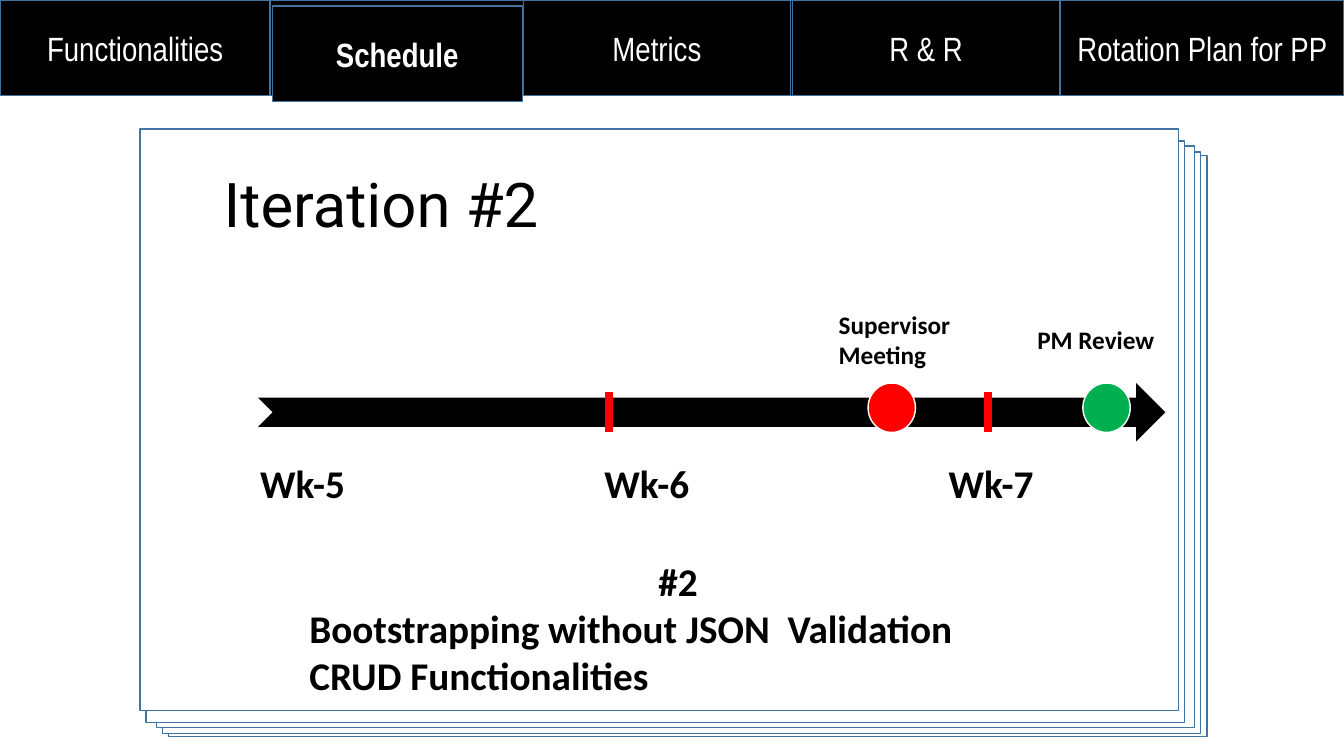
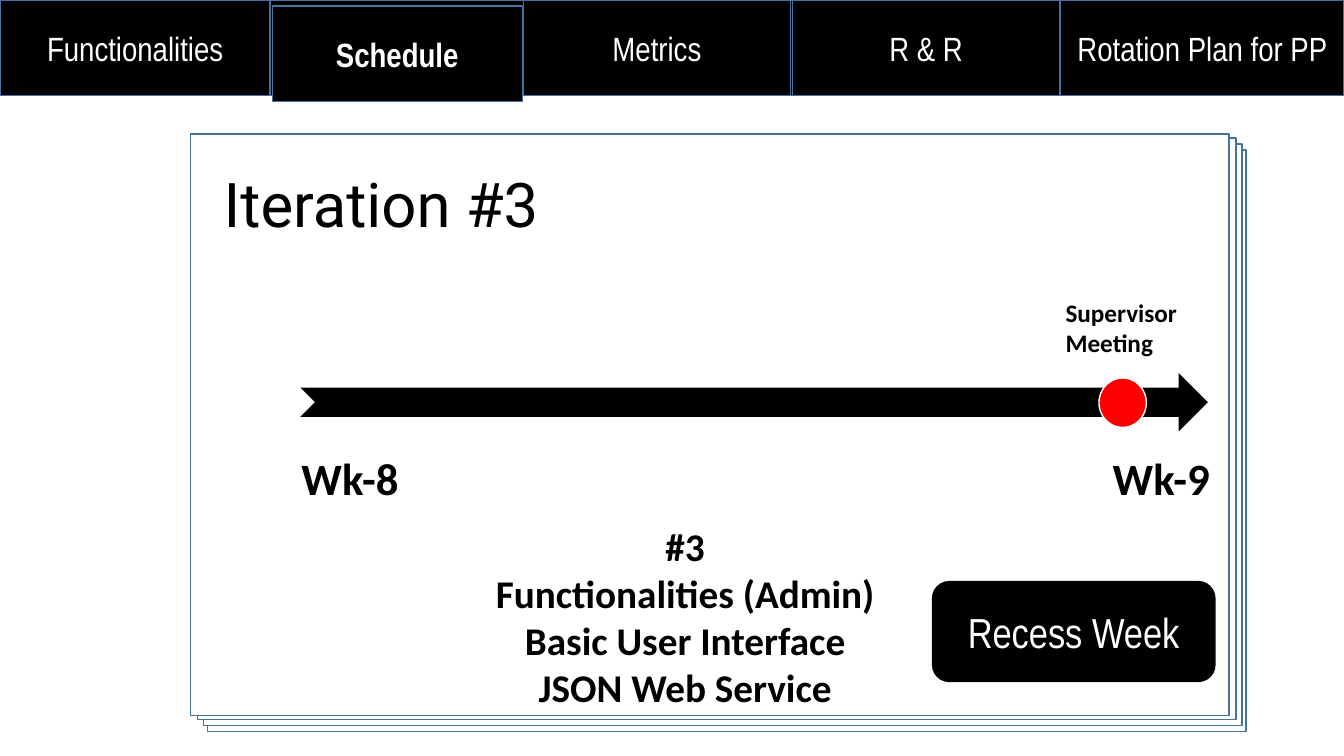
from lxml import etree
from pptx import Presentation
from pptx.dml.color import RGBColor
from pptx.enum.shapes import MSO_CONNECTOR, MSO_SHAPE
from pptx.enum.text import MSO_ANCHOR, PP_ALIGN
from pptx.oxml.ns import qn
from pptx.util import Inches, Pt

RECT, OVAL = MSO_SHAPE.RECTANGLE, MSO_SHAPE.OVAL
ROUNDED, ARROW = MSO_SHAPE.ROUNDED_RECTANGLE, MSO_SHAPE.NOTCHED_RIGHT_ARROW
LEFT, CENTER, RIGHT = PP_ALIGN.LEFT, PP_ALIGN.CENTER, PP_ALIGN.RIGHT
TOP, MIDDLE = MSO_ANCHOR.TOP, MSO_ANCHOR.MIDDLE

BLACK, WHITE, BLUE = "000000", "FFFFFF", "43739E"
RED, GREEN = "FF0000", "00B050"
NARROW, BODY, HEADING = "Arial Narrow", "Calibri", "Roboto"

SHEET_SIZE = (10.3, 5.77)
MARKER_SIZE = (0.47, 0.49)
TABS = [  # label, left, top, width, bold
    ("Functionalities", 0, 0, 2.68, False),
    ("Metrics", 5.19, 0, 2.65, False),
    ("R & R", 7.86, 0, 2.65, False),
    ("Rotation Plan for PP", 10.52, 0, 2.81, False),
    ("Schedule", 2.7, 0.06, 2.48, True),
]
TAB_HEIGHT = 0.95

ITERATIONS = [
    {
        "title": "Iteration #2",
        "sheets": [(1.67, 1.54), (1.61, 1.51), (1.55, 1.45), (1.45, 1.4), (1.39, 1.28)],
        "arrow": (2.56, 3.8),
        "ticks": [6.04, 9.8],
        "markers": [(8.61, 3.8, RED), (10.74, 3.8, GREEN)],
        "weeks": ["Wk-5", "Wk-6", "Wk-7"],
        "weeks_box": (2.48, 4.53, 7.87),
        "weeks_size": 28,
        "labels": [("Supervisor\nMeeting", 8.22, 3.02, 0.71), ("PM Review", 10.19, 3.17, 0.4)],
        "goal_box": (2.97, 5.48, 6.83, 1.51),
        "goals": "#2\nBootstrapping without JSON  Validation\nCRUD Functionalities",
        "goals_align": LEFT,
        "heading_indent": 0.68,
        "recess": False,
    },
    {
        "title": "Iteration #3",
        "sheets": [(2.06, 1.49), (2.02, 1.43), (1.96, 1.37), (1.89, 1.33)],
        "arrow": (2.98, 3.7),
        "ticks": [],
        "markers": [(10.9, 3.75, RED)],
        "weeks": ["Wk-8", "", "Wk-9"],
        "weeks_box": (2.89, 4.44, 9.21),
        "weeks_size": 32,
        "labels": [("Supervisor\nMeeting", 10.47, 2.9, 0.71)],
        "goal_box": (4.79, 5.13, 4.01, 1.99),
        "goals": "#3\nFunctionalities (Admin)\nBasic User Interface\nJSON Web Service",
        "goals_align": CENTER,
        "heading_indent": 0,
        "recess": True,
    },
]


def draw_shape(page, kind, left, top, width, height, fill, line=None):
    shape = page.shapes.add_shape(kind, Inches(left), Inches(top), Inches(width), Inches(height))
    shape.shadow.inherit = False
    shape.fill.solid()
    shape.fill.fore_color.rgb = RGBColor.from_string(fill)
    if line:
        shape.line.color.rgb = RGBColor.from_string(line)
        shape.line.width = Pt(1)
    else:
        shape.line.fill.background()
    return shape


def write_text(frame, text, size, font=BODY, color=BLACK, bold=False,
               align=LEFT, anchor=TOP, spacing=None):
    frame.word_wrap = True
    frame.vertical_anchor = anchor
    for index, content in enumerate(text.split("\n")):
        para = frame.add_paragraph() if index else frame.paragraphs[0]
        para.alignment = align
        para.line_spacing = spacing
        span = para.add_run()
        span.text = content
        span.font.name = font
        span.font.size = Pt(size)
        span.font.bold = bold
        span.font.color.rgb = RGBColor.from_string(color)


deck = Presentation()
deck.slide_width, deck.slide_height = Inches(13.33), Inches(7.5)

for plan in ITERATIONS:
    page = deck.slides.add_slide(deck.slide_layouts[6])

    # Stack of sheets
    for left, top in plan["sheets"]:
        draw_shape(page, RECT, left, top, *SHEET_SIZE, WHITE, BLUE)

    # Navigation band
    draw_shape(page, RECT, 0, 0, 13.33, TAB_HEIGHT, BLACK, BLUE)
    for label, left, top, width, bold in TABS:
        tab = draw_shape(page, RECT, left, top, width, TAB_HEIGHT, BLACK, BLUE)
        write_text(tab.text_frame, label, 24, font=NARROW, color=WHITE, bold=bold,
                   align=CENTER, anchor=MIDDLE)

    # Title
    title = page.shapes.add_textbox(Inches(2.12), Inches(1.33), Inches(8.62), Inches(1.45))
    write_text(title.text_frame, plan["title"], 44, font=HEADING, anchor=MIDDLE, spacing=0.9)

    # Timeline with week ticks and milestones
    draw_shape(page, ARROW, *plan["arrow"], 9, 0.58, BLACK)
    for left in plan["ticks"]:
        tick = page.shapes.add_connector(MSO_CONNECTOR.STRAIGHT, Inches(left), Inches(3.89),
                                         Inches(left), Inches(4.29))
        tick.line.color.rgb = RGBColor.from_string(RED)
        tick.line.width = Pt(6)
        etree.SubElement(tick._element.spPr, qn("a:effectLst"))
    for left, top, color in plan["markers"]:
        draw_shape(page, OVAL, left, top, *MARKER_SIZE, color, WHITE)

    # Week names
    left, top, width = plan["weeks_box"]
    table = page.shapes.add_table(1, 3, Inches(left), Inches(top), Inches(width), Inches(0.41)).table
    table.first_row = table.horz_banding = False
    for cell, week, align in zip(table.rows[0].cells, plan["weeks"], (LEFT, CENTER, RIGHT)):
        cell.fill.background()
        if week:
            write_text(cell.text_frame, week, plan["weeks_size"], bold=True, align=align)

    # Milestone labels
    for label, left, top, height in plan["labels"]:
        box = page.shapes.add_textbox(Inches(left), Inches(top), Inches(1.5), Inches(height))
        write_text(box.text_frame, label, 18, bold=True)

    # Goals under a centred heading
    box = page.shapes.add_textbox(*[Inches(length) for length in plan["goal_box"]])
    write_text(box.text_frame, plan["goals"], 28, bold=True, align=plan["goals_align"])
    heading = box.text_frame.paragraphs[0]
    heading.alignment = CENTER
    if plan["heading_indent"]:
        heading._p.get_or_add_pPr().set("marL", str(Inches(plan["heading_indent"])))

    # Recess note
    if plan["recess"]:
        note = draw_shape(page, ROUNDED, 9.25, 5.77, 2.8, 0.99, BLACK, BLACK)
        write_text(note.text_frame, "Recess Week", 30, font=NARROW, color=WHITE,
                   align=CENTER, anchor=MIDDLE)

deck.save("out.pptx")
